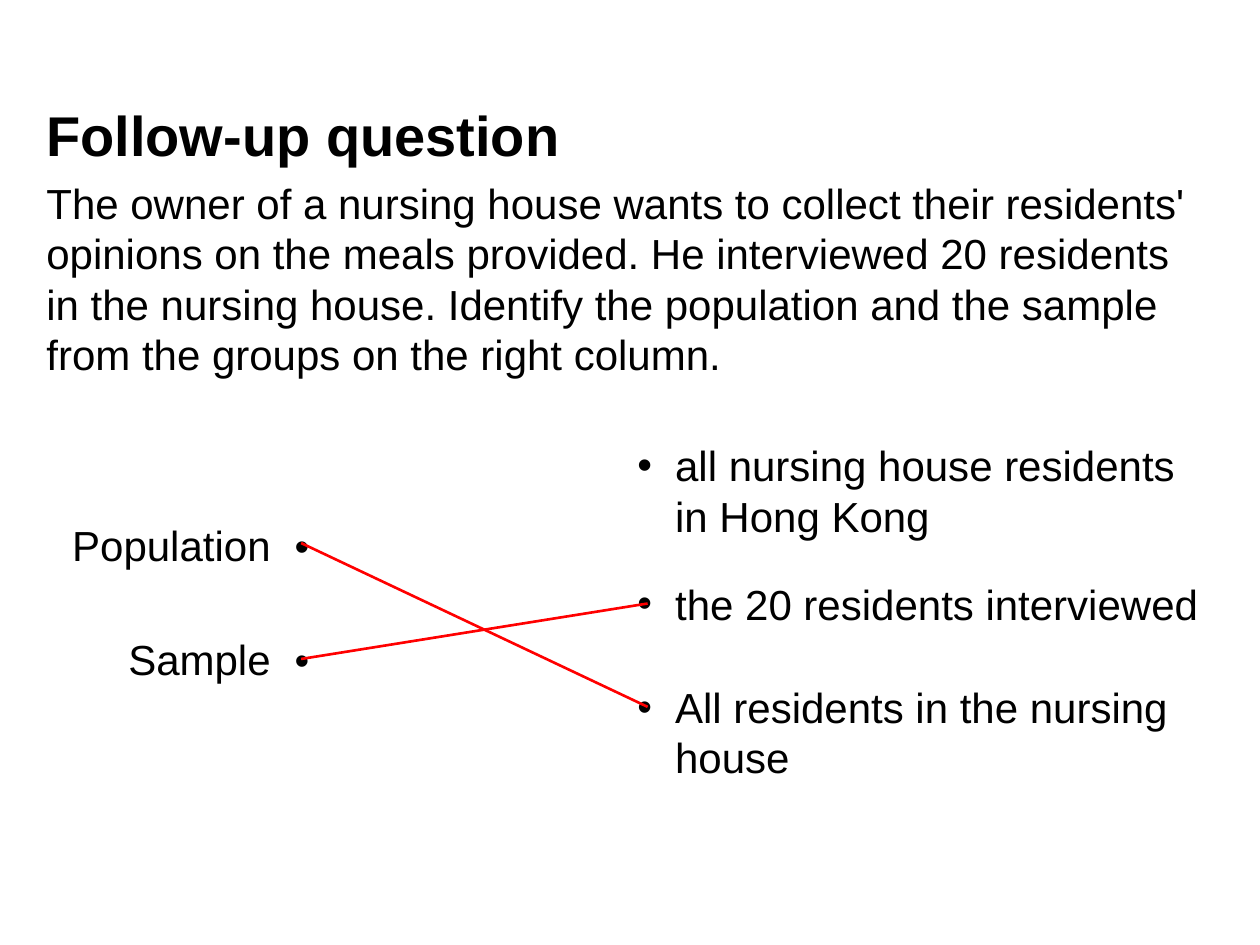
"""Build the follow-up question slide on population and sample."""
from lxml.etree import SubElement
from pptx import Presentation
from pptx.dml.color import RGBColor
from pptx.enum.shapes import MSO_CONNECTOR
from pptx.oxml.ns import qn
from pptx.util import Inches, Pt

BLACK = RGBColor(0x00, 0x00, 0x00)
RED = RGBColor(0xFF, 0x00, 0x00)
BODY = {"name": "Arial", "size": Pt(24), "bold": False}
HEADING = {"name": "Arial", "size": Pt(32), "bold": True}
INSET = 0.1
HANG = 0.3
LABEL_END, DOT_START = 2.15, 2.34

deck = Presentation()
deck.slide_width, deck.slide_height = Inches(10), Inches(7.5)
slide = deck.slides.add_slide(deck.slide_layouts[6])


def add_text(wording, left, top, width, height, style=BODY):
    frame = slide.shapes.add_textbox(
        Inches(left), Inches(top), Inches(width), Inches(height)
    ).text_frame
    frame.word_wrap = True
    paragraph = frame.paragraphs[0]
    paragraph.text = wording
    for run in paragraph.runs:
        for attribute, value in style.items():
            setattr(run.font, attribute, value)
        run.font.color.rgb = BLACK
    return paragraph


question = (
    "The owner of a nursing house wants to collect their residents' opinions "
    "on the meals provided. He interviewed 20 residents in the nursing house. "
    "Identify the population and the sample from the groups on the right column."
)
add_text(question, 0.27, 1.36, 9.37, 1.72)

groups = [
    ("all nursing house residents\vin Hong Kong", 3.44, 0.91),
    ("the 20 residents interviewed", 4.54, 0.51),
    ("All residents in the nursing\vhouse", 5.36, 0.91),
]
for wording, top, height in groups:
    group = add_text(wording, 4.96, top, 4.88, height)
    properties = group._p.get_or_add_pPr()
    properties.set("marL", str(Inches(HANG)))
    properties.set("indent", str(-Inches(HANG)))
    SubElement(properties, qn("a:buFont"), typeface="Arial")
    SubElement(properties, qn("a:buChar"), char="•")

terms = [("Population", 0.43, 4.07, 2.13), ("Sample", 0.84, 4.98, 1.72)]
for wording, left, top, width in terms:
    term = add_text(f"\t{wording}\t•", left, top, width, 0.51)
    stops = SubElement(term._p.get_or_add_pPr(), qn("a:tabLst"))
    for stop, alignment in ((LABEL_END, "r"), (DOT_START, "l")):
        position = Inches(stop - left - INSET)
        SubElement(stops, qn("a:tab"), pos=str(position), algn=alignment)

for start_y, end_y in ((4.31, 5.61), (5.23, 4.79)):
    match = slide.shapes.add_connector(
        MSO_CONNECTOR.STRAIGHT,
        Inches(2.39), Inches(start_y), Inches(5.14), Inches(end_y),
    )
    match.line.color.rgb = RED
    match.line.width = Pt(1.5)
    SubElement(match._element.spPr, qn("a:effectLst"))

add_text("Follow-up question", 0.27, 0.75, 4.73, 0.63, HEADING)

deck.save("out.pptx")
